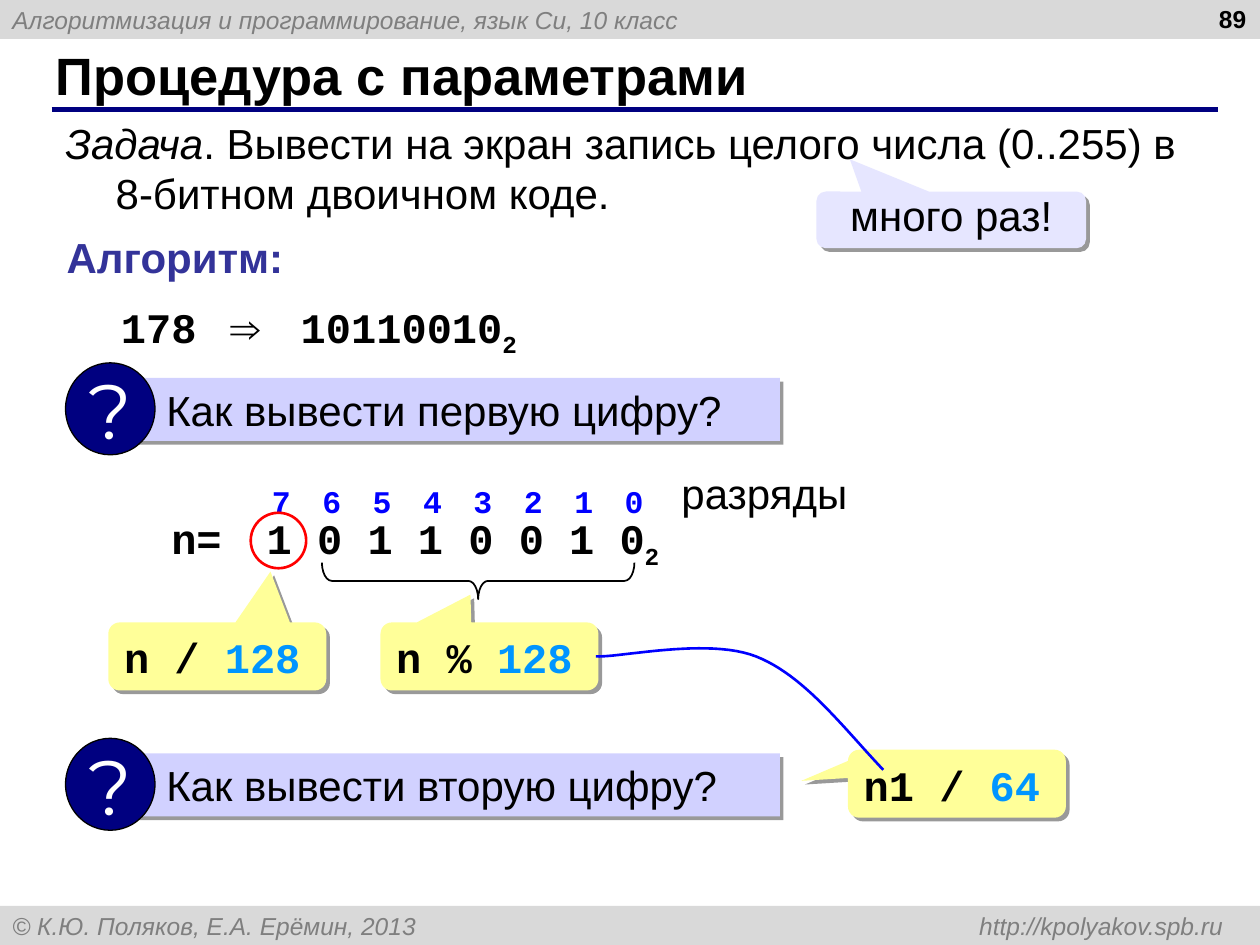
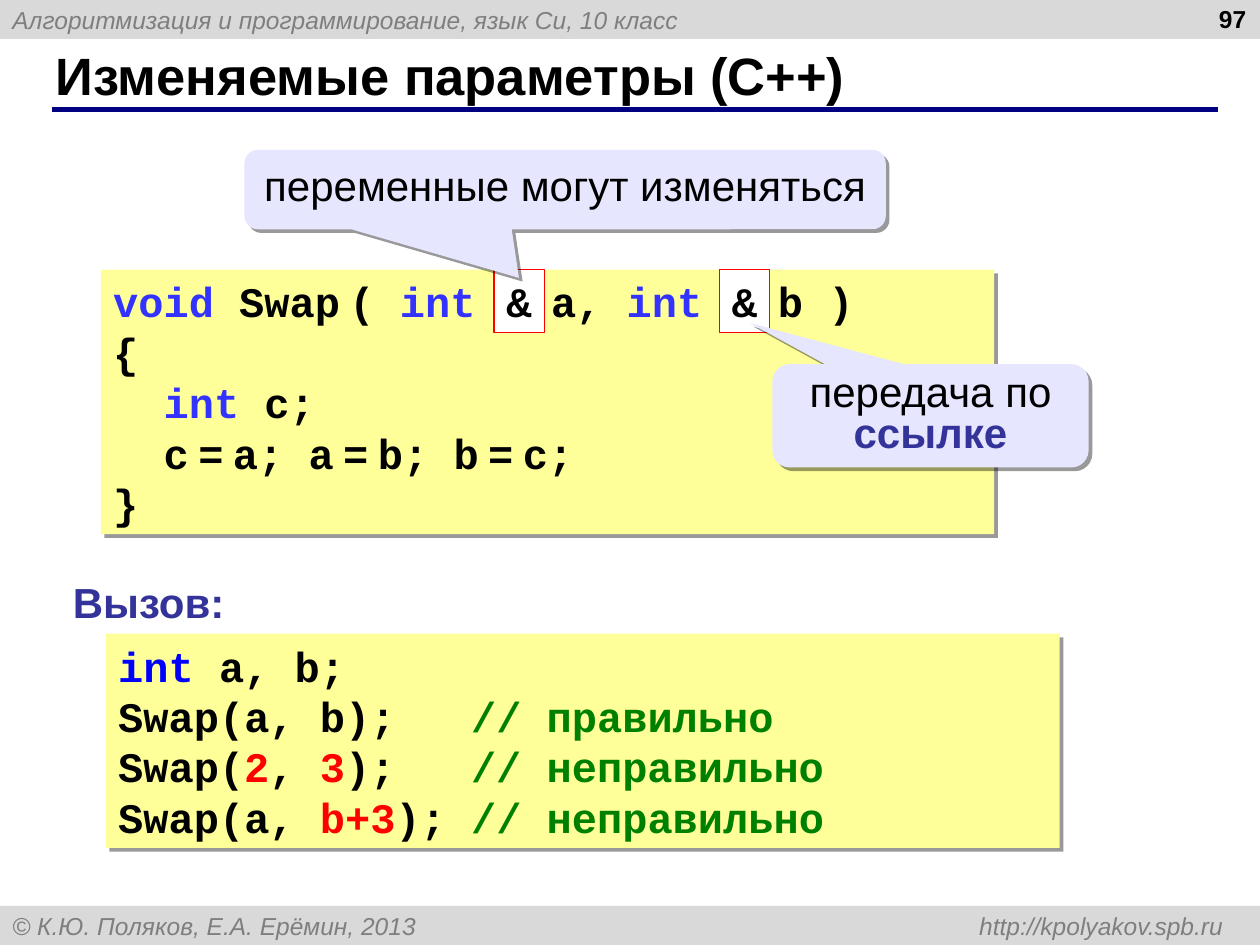
from lxml import etree
from pptx import Presentation
from pptx.dml.color import RGBColor
from pptx.enum.shapes import MSO_CONNECTOR, MSO_SHAPE
from pptx.enum.text import MSO_ANCHOR, MSO_AUTO_SIZE, PP_ALIGN
from pptx.oxml.ns import qn
from pptx.util import Inches, Pt

LEFT, CENTER, RIGHT = PP_ALIGN.LEFT, PP_ALIGN.CENTER, PP_ALIGN.RIGHT
TOP, MIDDLE = MSO_ANCHOR.TOP, MSO_ANCHOR.MIDDLE
NO_AUTOSIZE = MSO_AUTO_SIZE.NONE
STRAIGHT = MSO_CONNECTOR.STRAIGHT
RECTANGLE, ELLIPSE = MSO_SHAPE.RECTANGLE, MSO_SHAPE.OVAL
CALLOUT, BRACE = MSO_SHAPE.ROUNDED_RECTANGULAR_CALLOUT, MSO_SHAPE.LEFT_BRACE

SANS, MONO, DISPLAY = "Arial", "Courier New", "Montserrat"
BLACK, WHITE, RED, BLUE, NAVY = "000000", "FFFFFF", "FF0000", "0000FF", "000080"
BAND, MUTED, HEADING = "D9D9D9", "7F7F7F", "333399"
YELLOW, LAVENDER, QUESTION = "FFFF99", "E6E6FF", "D1D1FF"
KEYWORD, NUMBER, COMMENT = "3333FF", "0095FF", "008000"

COURSE = "Алгоритмизация и программирование, язык Си, 10 класс"
COPYRIGHT = "© К.Ю. Поляков, Е.А. Ерёмин, 2013\thttp://kpolyakov.spb.ru"

TASK = [[
    ("Задача", {"italic": True}),
    ". Вывести на экран запись целого числа (0..255) в 8-битном двоичном коде.",
]]
SUBSCRIPT_TWO = ("2", {"baseline": -25})
CONVERSION = [
    ((0.86, 2.34, 0.8, 0.5), ["178"], MONO),
    ((1.72, 2.34, 0.46, 0.5), ["⇒"], SANS),
    ((2.29, 2.34, 1.91, 0.56), ["10110010", SUBSCRIPT_TWO], MONO),
    ((2.02, 4.02, 3.31, 0.56), ["1 0 1 1 0 0 1 0", SUBSCRIPT_TWO], MONO),
    ((1.26, 4.02, 0.6, 0.5), ["n="], MONO),
]
BIT_POSITIONS = "76543210"
BIT_STEP = 0.4
QUESTIONS = [(2.88, "Как вывести первую цифру?"), (5.86, "Как вывести вторую цифру?")]
FORMULAS = [
    ((0.86, 4.94), (0.244, -1.247), "n / ", "128"),
    ((3.02, 4.94), (-0.087, -0.909), "n % ", "128"),
    ((6.73, 5.95), (-0.714, -0.041), "n1 / ", "64"),
]
REMAINDER_CURVE = [
    [(7.01, 6.11), (6.68, 5.76), (6.38, 5.36), (6.0, 5.21)],
    [(6.0, 5.21), (5.62, 5.06), (4.92, 5.22), (4.73, 5.21)],
]

VALID, INVALID = {"color": COMMENT}, {"color": RED}
TYPE = {"color": KEYWORD}
NARROW = (" ", {"size": 9})


def assignment(target, value):
    return [target, NARROW, "=", NARROW, value + ";"]


SWAP_CODE = [
    [("void", TYPE), " Swap", NARROW, "( ", ("int ", TYPE), "  a, ", ("int  ", TYPE), " b )"],
    ["{"],
    ["  ", ("int", TYPE), " c;"],
    ["  ", *assignment("c", "a"), " ", *assignment("a", "b"), " ", *assignment("b", "c")],
    ["}"],
]
CALL_CODE = [
    [("int ", {"color": BLUE}), "a, b;"],
    ["Swap(a, b);   ", ("// правильно", VALID)],
    ["Swap(", ("2", INVALID), ", ", ("3", INVALID), ");   ", ("// неправильно", VALID)],
    ["Swap(a, ", ("b+3", INVALID), "); ", ("// неправильно", VALID)],
]
CODE_BLOCKS = [((0.8, 2.14, 7.09, 2.1), SWAP_CODE), ((0.84, 5.03, 7.57, 1.7), CALL_CODE)]
REFERENCE_MARKS = [3.92, 5.71]
SWAP_CALLOUTS = [
    ((6.13, 2.89, 2.51, 0.82), (-0.572, -0.899),
     ["передача по ", ("ссылке", {"color": HEADING, "bold": True})]),
    ((1.94, 1.19, 5.09, 0.63), (-0.072, 1.112), ["переменные могут изменяться"]),
]


def rgb(value):
    return RGBColor.from_string(value)


def inches(values):
    return [Inches(value) for value in values]


def format_run(run, font=SANS, size=24, color=BLACK, bold=False, italic=False, baseline=0):
    run.font.name, run.font.size = font, Pt(size)
    run.font.bold, run.font.italic = bold, italic
    run.font.color.rgb = rgb(color)
    if baseline:
        run._r.get_or_add_rPr().set("baseline", str(baseline * 1000))


def write(shape, paragraphs, align=LEFT, anchor=TOP, wrap=True, spacing=None,
          left_inset=0.1, hanging=0, tabs=(), **font):
    frame = shape.text_frame
    frame.auto_size, frame.word_wrap, frame.vertical_anchor = NO_AUTOSIZE, wrap, anchor
    frame.margin_left, frame.margin_right = Inches(left_inset), Inches(0.1)
    frame.margin_top = frame.margin_bottom = Inches(0.05)
    if isinstance(paragraphs, str):
        paragraphs = [[paragraphs]]
    for index, runs in enumerate(paragraphs):
        paragraph = frame.add_paragraph() if index else frame.paragraphs[0]
        paragraph.alignment = align
        if spacing:
            paragraph.line_spacing = spacing
        properties = paragraph._p.get_or_add_pPr()
        if hanging:
            properties.set("marL", str(Inches(hanging)))
            properties.set("indent", str(-Inches(hanging)))
        if tabs:
            tab_list = etree.SubElement(properties, qn("a:tabLst"))
            for position, kind in tabs:
                etree.SubElement(tab_list, qn("a:tab"), pos=str(Inches(position)), algn=kind)
        for item in runs:
            text, changes = (item, {}) if isinstance(item, str) else item
            run = paragraph.add_run()
            run.text = text
            format_run(run, **{**font, **changes})


def add_text(slide, box, paragraphs, **text_format):
    write(slide.shapes.add_textbox(*inches(box)), paragraphs, **text_format)


def add_shadow(shape):
    effects = shape._element.spPr.find(qn("a:effectLst"))
    shadow = etree.SubElement(effects, qn("a:outerShdw"), blurRad="0",
                              dist=str(Pt(3)), dir="2700000", algn="ctr", rotWithShape="0")
    color = etree.SubElement(shadow, qn("a:srgbClr"), val=BLACK)
    etree.SubElement(color, qn("a:alpha"), val="40000")


def paint(shape, fill=None, line=None, width=0.75, shadow=False):
    shape.shadow.inherit = False
    if fill:
        shape.fill.solid()
        shape.fill.fore_color.rgb = rgb(fill)
    else:
        shape.fill.background()
    if line:
        shape.line.color.rgb = rgb(line)
        shape.line.width = Pt(width)
    else:
        shape.line.fill.background()
    if shadow:
        add_shadow(shape)


def add_shape(slide, kind, box, adjustments=(), **style):
    shape = slide.shapes.add_shape(kind, *inches(box))
    for index, value in enumerate(adjustments):
        shape.adjustments[index] = value
    paint(shape, **style)
    return shape


def add_callout(slide, box, pointer, runs, fill=LAVENDER, **text_format):
    callout = add_shape(slide, CALLOUT, box, (*pointer, 0.167), fill=fill, shadow=True)
    write(callout, [runs], **text_format)


def add_note(slide, box, pointer, runs):
    add_callout(slide, box, pointer, runs, align=CENTER, anchor=MIDDLE, spacing=0.8)


def add_heading(slide, box, text):
    add_text(slide, box, text, wrap=False, color=HEADING, bold=True)


def add_question(slide, top, text):
    box = add_shape(slide, RECTANGLE, (1.03, top + 0.12, 5.16, 0.5), fill=QUESTION, shadow=True)
    write(box, text, anchor=MIDDLE, left_inset=0.29)
    circle = add_shape(slide, ELLIPSE, (0.52, top, 0.71, 0.73), fill=NAVY, line=BLACK)
    write(circle, "?", align=CENTER, anchor=MIDDLE, wrap=False,
          font=DISPLAY, size=44, color=WHITE)
    slide.shapes.add_group_shape([box, circle])


def bezier_point(controls, t):
    weights = ((1 - t) ** 3, 3 * t * (1 - t) ** 2, 3 * t * t * (1 - t), t ** 3)
    return tuple(sum(weight * point[axis] for weight, point in zip(weights, controls))
                 for axis in (0, 1))


def add_curve(slide, segments, steps=24, **style):
    points = [inches(bezier_point(segment, step / steps))
              for segment in segments for step in range(1, steps + 1)]
    builder = slide.shapes.build_freeform(*inches(segments[0][0]))
    builder.add_line_segments(points, close=False)
    paint(builder.convert_to_shape(), **style)


def add_base_slide(presentation, title, number):
    slide = presentation.slides.add_slide(presentation.slide_layouts[5])
    for top, text, tabs in ((0, COURSE, ()), (7.19, COPYRIGHT, [(9.61, "r")])):
        band = add_shape(slide, RECTANGLE, (0, top, 10, 0.31), fill=BAND)
        write(band, text, anchor=MIDDLE, tabs=tabs, size=14, color=MUTED, italic=True)
    rule = slide.shapes.add_connector(STRAIGHT, *inches((0.41, 0.87, 9.67, 0.87)))
    rule.line.color.rgb, rule.line.width = rgb(NAVY), Pt(3)
    etree.SubElement(rule._element.spPr, qn("a:effectLst"))
    heading = slide.shapes.title
    heading.left, heading.top, heading.width, heading.height = inches((0.34, 0.33, 9.16, 0.52))
    write(heading, title, anchor=MIDDLE, size=30, bold=True)
    add_text(slide, (7.66, -0.02, 2.33, 0.52), str(number), align=RIGHT, size=14, bold=True)
    return slide


def build_procedure_slide(presentation):
    slide = add_base_slide(presentation, "Процедура с параметрами", 89)
    add_text(slide, (0.42, 0.88, 9.27, 0.9), TASK, hanging=0.4)
    add_note(slide, (6.48, 1.52, 2.14, 0.45), (-0.376, -1.069), ["много раз!"])
    add_heading(slide, (0.43, 1.79, 1.92, 0.5), "Алгоритм:")
    for box, runs, font in CONVERSION:
        add_text(slide, box, [runs], align=CENTER, wrap=False, font=font, bold=True)
    for top, text in QUESTIONS:
        add_question(slide, top, text)
    tabs = [(BIT_STEP * index, "l") for index in range(1, len(BIT_POSITIONS))]
    add_text(slide, (2.06, 3.78, 3.3, 0.4), "\t".join(BIT_POSITIONS), tabs=tabs,
             font=MONO, size=18, color=BLUE, bold=True)
    add_text(slide, (5.31, 3.66, 1.52, 0.5), "разряды", wrap=False)
    add_shape(slide, ELLIPSE, (1.99, 4.07, 0.44, 0.44), line=RED, width=1.5)
    brace = add_shape(slide, BRACE, (3.65, 3.37, 0.29, 2.48), (0.27, 0.5), line=BLACK, width=1)
    brace.rotation = 270
    for corner, pointer, expression, divisor in FORMULAS:
        add_callout(slide, (*corner, 1.73, 0.54), pointer,
                    [expression, (divisor, {"color": NUMBER})],
                    fill=YELLOW, font=MONO, bold=True)
    add_curve(slide, REMAINDER_CURVE, line=BLUE, width=1.5)


def build_reference_slide(presentation):
    slide = add_base_slide(presentation, "Изменяемые параметры (C++)", 97)
    for box, code in CODE_BLOCKS:
        block = add_shape(slide, RECTANGLE, box, fill=YELLOW, shadow=True)
        write(block, code, anchor=MIDDLE, font=MONO, bold=True)
    for left in REFERENCE_MARKS:
        mark = add_shape(slide, RECTANGLE, (left, 2.14, 0.4, 0.5), fill=WHITE, line=RED)
        write(mark, "&", wrap=False, font=MONO, bold=True)
    add_heading(slide, (0.48, 4.53, 1.41, 0.5), "Вызов:")
    for box, pointer, runs in SWAP_CALLOUTS:
        add_note(slide, box, pointer, runs)


def main():
    presentation = Presentation()
    presentation.slide_width, presentation.slide_height = Inches(10), Inches(7.5)
    build_procedure_slide(presentation)
    build_reference_slide(presentation)
    presentation.save("out.pptx")


if __name__ == "__main__":
    main()
